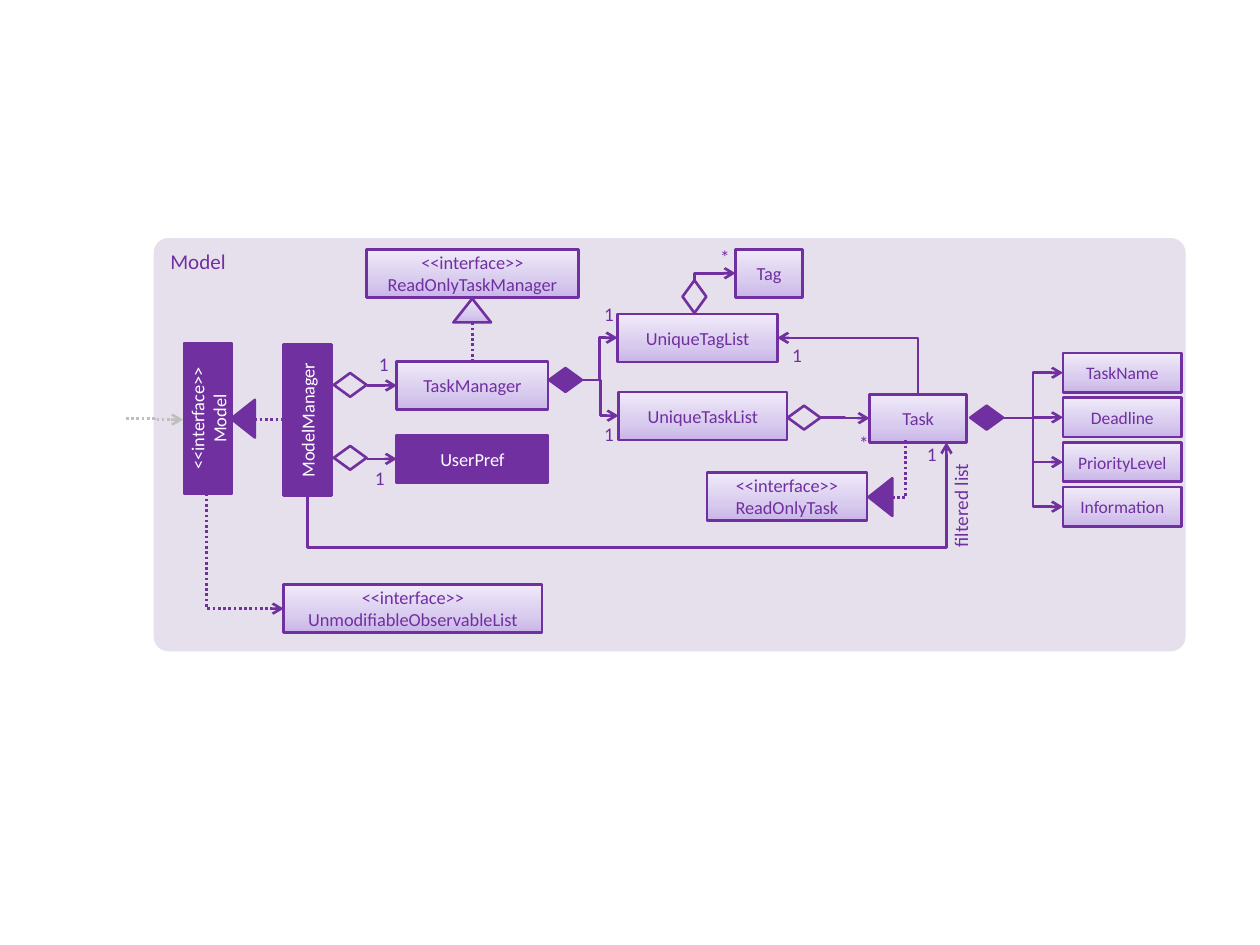
from copy import deepcopy
from dataclasses import dataclass
from typing import Optional

from lxml.etree import SubElement
from pptx import Presentation
from pptx.dml.color import RGBColor
from pptx.enum.dml import MSO_LINE
from pptx.enum.shapes import MSO_CONNECTOR, MSO_SHAPE
from pptx.enum.text import MSO_ANCHOR, PP_ALIGN
from pptx.oxml.ns import qn
from pptx.util import Cm, Pt

COLOURS = {"purple": "7030A0", "panel": "E6E0EC", "white": "FFFFFF", "grey": "BFBFBF",
           "deep": "C9B5E8", "middle": "D8CBEE", "pale": "F0EAF9"}
BOX_HEIGHT = 0.97
DETAIL_HEIGHT, DETAIL_STEP = 0.79, 0.9


@dataclass
class Node:
    text: str
    left: float
    top: float
    width: float
    height: float = BOX_HEIGHT
    fill: str = "gradient"
    rotation: int = 0
    size: float = 10.5


@dataclass
class Symbol:
    shape: MSO_SHAPE
    left: float
    top: float
    fill: Optional[str] = None
    rotation: int = 0


@dataclass
class Link:
    start: tuple[float, float]
    end: tuple[float, float]
    geometry: str = "bentConnector3"
    upright: bool = False  # leaves its start vertically
    arrow: bool = True
    dotted: bool = False
    colour: str = "purple"
    adjust: tuple[int, ...] = ()
    target: Optional[str] = None
    site: int = 1


@dataclass
class Label:
    text: str
    left: float
    top: float
    width: float = 0.53
    height: float = 0.51
    rotation: int = 0


DETAILS = [Node(name, 21.43, 7.12 + DETAIL_STEP * row, 2.39, DETAIL_HEIGHT, size=10)
           for row, name in enumerate(["TaskName", "Deadline", "PriorityLevel", "Information"])]
NODES = [
    Node("UserPref", 8, 8.77, 3.05, fill="purple"),
    Node("ModelManager", 4.67, 7.98, 3.05, fill="purple", rotation=270),
    Node("<<interface>>\nModel", 2.67, 7.95, 3.05, fill="purple", rotation=270),
    Node("TaskManager", 8, 7.29, 3.05),
    Node("UniqueTaskList", 12.47, 7.9, 3.4),
    Node("UniqueTagList", 12.45, 6.33, 3.23),
    Node("Task", 17.53, 7.95, 1.96),
    Node("Tag", 14.83, 5.03, 1.35),
    Node("<<interface>>\vReadOnlyTask", 14.25, 9.52, 3.23),
    Node("<<interface>>\vReadOnlyTaskManager", 7.39, 5.03, 4.27),
    Node("<<interface>>\vUnmodifiableObservableList", 5.72, 11.78, 5.21),
    *DETAILS,
]
DIAMOND, TRIANGLE = MSO_SHAPE.FLOWCHART_DECISION, MSO_SHAPE.ISOSCELES_TRIANGLE
SYMBOL_SIZES = {DIAMOND: (0.66, 0.48), TRIANGLE: (0.76, 0.48)}
SYMBOLS = [
    Symbol(DIAMOND, 6.73, 8.99),
    Symbol(DIAMOND, 6.73, 7.52),
    Symbol(DIAMOND, 11.07, 7.42, "purple"),
    Symbol(DIAMOND, 15.88, 8.18),
    Symbol(DIAMOND, 13.67, 5.74, rotation=270),
    Symbol(DIAMOND, 19.56, 8.18, "purple"),
    Symbol(TRIANGLE, 4.52, 8.2, "purple", 270),
    Symbol(TRIANGLE, 17.37, 9.78, "purple", 270),
    Symbol(TRIANGLE, 9.14, 6.02, "gradient"),
]
LINKS = [
    Link((17.98, 10.03), (18.26, 8.86), "bentConnector2", arrow=False, dotted=True),
    Link((6.2, 9.96), (19.08, 8.92), "bentConnector4", upright=True, adjust=(-104000, 100000)),
    Link((7.39, 9.25), (8, 9.25), "line", target="UserPref"),
    Link((2.54, 8.44), (3.69, 8.46), dotted=True, colour="grey"),
    Link((5.13, 8.46), (5.71, 8.46), "line", arrow=False, dotted=True,
         target="ModelManager", site=0),
    Link((7.39, 7.77), (8, 7.77), "line", target="TaskManager"),
    Link((11.73, 7.66), (12.47, 8.38)),
    Link((11.73, 7.66), (12.45, 6.81)),
    Link((16.54, 8.42), (17.53, 8.43)),
    Link((14, 5.66), (14.83, 5.51), "bentConnector2", upright=True),
    Link((9.52, 6.5), (9.52, 7.29), "line", arrow=False, dotted=True,
         target="TaskManager", site=0),
    Link((4.17, 9.95), (5.72, 12.27), "bentConnector2", upright=True, dotted=True),
    Link((18.51, 7.95), (15.67, 6.81), "bentConnector2", upright=True),
    *[Link((20.22, 8.43), (node.left, node.top + DETAIL_HEIGHT / 2)) for node in DETAILS],
]
LABELS = [
    Label("1", 12.01, 6.1), Label("1", 12.01, 8.51), Label("1", 15.8, 6.93),
    Label("*", 14.35, 4.95), Label("*", 17.15, 8.69), Label("1", 7.47, 7.11),
    Label("1", 7.39, 9.4), Label("1", 18.52, 8.92),
    Label("filtered list", 18.14, 9.96, 2.44, 0.71, 270),
]


def rgb(name: str) -> RGBColor:
    return RGBColor.from_string(COLOURS[name])


def write(shape, text: str, size: float, colour: str, align=PP_ALIGN.CENTER) -> None:
    shape.text_frame.word_wrap = True
    shape.text_frame.text = text
    for paragraph in shape.text_frame.paragraphs:
        paragraph.alignment = align
        for span in paragraph.runs:
            span.font.name, span.font.size = "Calibri", Pt(size)
            span.font.color.rgb = rgb(colour)


def paint(shape, fill: Optional[str]) -> None:
    """Fill with a colour, the three-stop gradient or nothing."""
    shape.shadow.inherit = False
    if fill is None:
        shape.fill.background()
    elif fill == "gradient":
        shape.fill.gradient()
        shape.fill.gradient_angle = 90
        first = next(shape._element.spPr.iter(qn("a:gs")))
        middle = deepcopy(first)
        middle.set("pos", "35000")
        first.addnext(middle)
        for stop, name in zip(shape.fill.gradient_stops, ("deep", "middle", "pale")):
            stop.color.rgb = rgb(name)
    else:
        shape.fill.solid()
        shape.fill.fore_color.rgb = rgb(fill)


def add_outlined(page, kind, left: float, top: float, width: float, height: float,
                 fill: Optional[str], rotation: int):
    shape = page.shapes.add_shape(kind, Cm(left), Cm(top), Cm(width), Cm(height))
    shape.rotation = rotation
    paint(shape, fill)
    shape.line.color.rgb, shape.line.width = rgb("purple"), Pt(1.5)
    return shape


def add_node(page, node: Node):
    box = add_outlined(page, MSO_SHAPE.RECTANGLE, node.left, node.top, node.width,
                       node.height, node.fill, node.rotation)
    box.text_frame.vertical_anchor = MSO_ANCHOR.MIDDLE
    write(box, node.text, node.size, "white" if node.fill == "purple" else "purple")
    return box


def stand_upright(line, link: Link) -> None:
    """Turn the connector's frame a quarter so that its first leg is vertical."""
    (x1, y1), (x2, y2) = link.start, link.end
    width, height = abs(y2 - y1), abs(x2 - x1)
    line.left, line.top = Cm((x1 + x2 - width) / 2), Cm((y1 + y2 - height) / 2)
    line.width, line.height = Cm(width), Cm(height)
    frame = line._element.spPr.find(qn("a:xfrm"))
    frame.set("rot", "5400000")
    frame.set("flipH", str(int(y2 < y1)))
    frame.set("flipV", str(int(x2 > x1)))


def add_link(page, link: Link, boxes: dict) -> None:
    kind = MSO_CONNECTOR.STRAIGHT if link.geometry == "line" else MSO_CONNECTOR.ELBOW
    line = page.shapes.add_connector(kind, *map(Cm, link.start + link.end))
    if link.target:
        line.end_connect(boxes[link.target], link.site)
        line.end_x, line.end_y = map(Cm, link.end)  # rotated boxes shift the joined end
    properties = line._element.spPr
    geometry = properties.find(qn("a:prstGeom"))
    geometry.set("prst", link.geometry)
    for number, value in enumerate(link.adjust, 1):
        SubElement(geometry.find(qn("a:avLst")), qn("a:gd"), name=f"adj{number}",
                   fmla=f"val {value}")
    if link.upright:
        stand_upright(line, link)
    line.line.color.rgb, line.line.width = rgb(link.colour), Pt(1.5)
    if link.dotted:
        line.line.dash_style = MSO_LINE.ROUND_DOT
        properties.find(qn("a:ln")).find(qn("a:prstDash")).set("val", "sysDot")
    if link.arrow:
        SubElement(properties.find(qn("a:ln")), qn("a:tailEnd"), type="arrow")
    SubElement(properties, qn("a:effectLst"))


def add_label(page, label: Label) -> None:
    box = page.shapes.add_textbox(*map(Cm, (label.left, label.top, label.width, label.height)))
    box.rotation = label.rotation
    write(box, label.text, 11, "purple", PP_ALIGN.RIGHT if label.rotation else PP_ALIGN.CENTER)
    if not label.rotation:
        frame = box.text_frame
        frame.margin_left = frame.margin_right = frame.margin_top = frame.margin_bottom = 0


def main() -> None:
    deck = Presentation()
    deck.slide_width, deck.slide_height = Cm(25.4), Cm(19.05)
    page = deck.slides.add_slide(deck.slide_layouts[6])
    panel = page.shapes.add_shape(MSO_SHAPE.ROUNDED_RECTANGLE, Cm(3.1), Cm(4.8), Cm(20.8), Cm(8.33))
    panel.adjustments[0] = 0.035
    paint(panel, "panel")
    panel.line.fill.background()
    panel.text_frame.vertical_anchor = MSO_ANCHOR.TOP
    write(panel, "Model", 12, "purple", PP_ALIGN.LEFT)
    boxes = {node.text: add_node(page, node) for node in NODES}
    for link in LINKS:
        add_link(page, link, boxes)
    for symbol in SYMBOLS:
        add_outlined(page, symbol.shape, symbol.left, symbol.top, *SYMBOL_SIZES[symbol.shape],
                     symbol.fill, symbol.rotation)
    for label in LABELS:
        add_label(page, label)
    deck.save("out.pptx")


if __name__ == "__main__":
    main()
